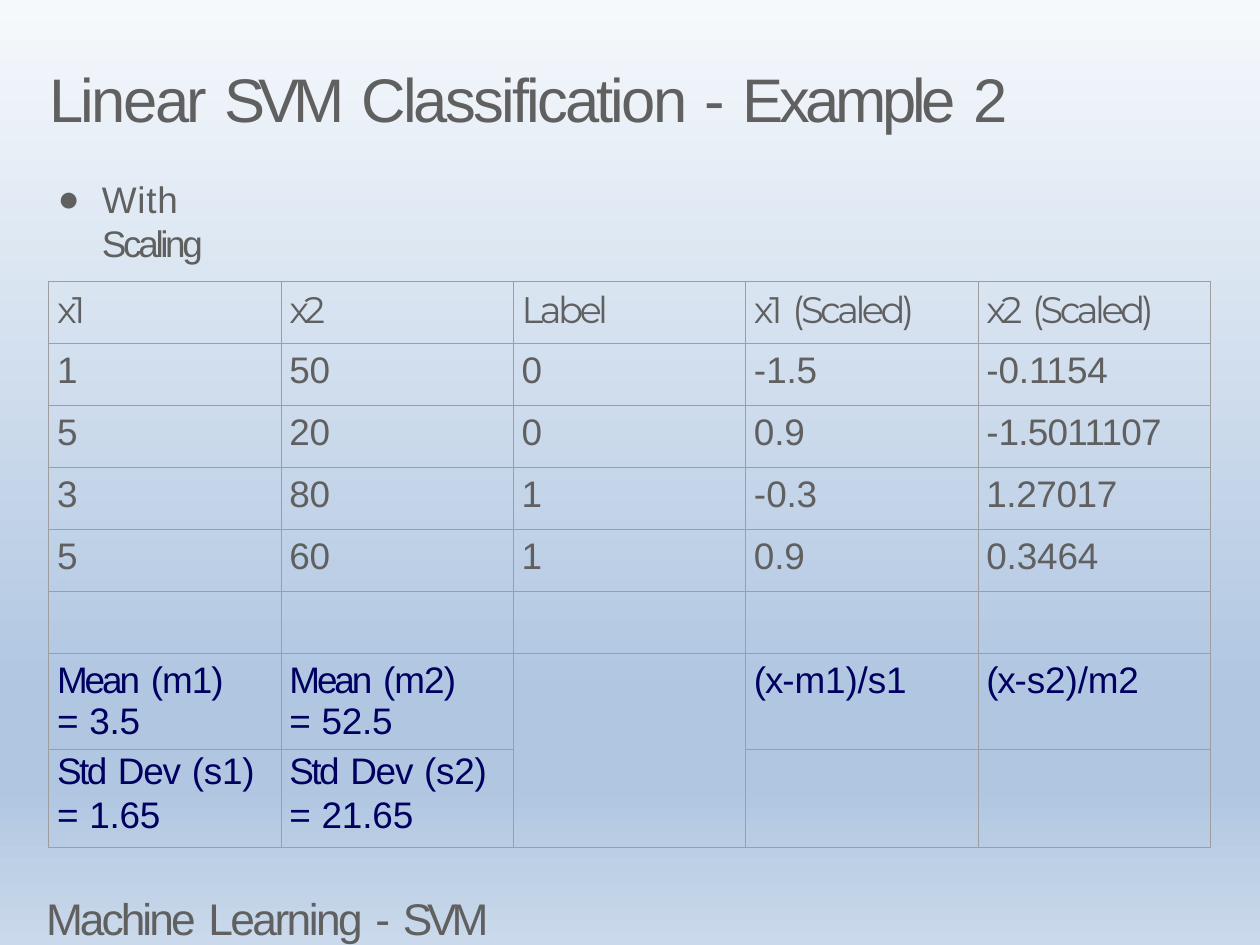
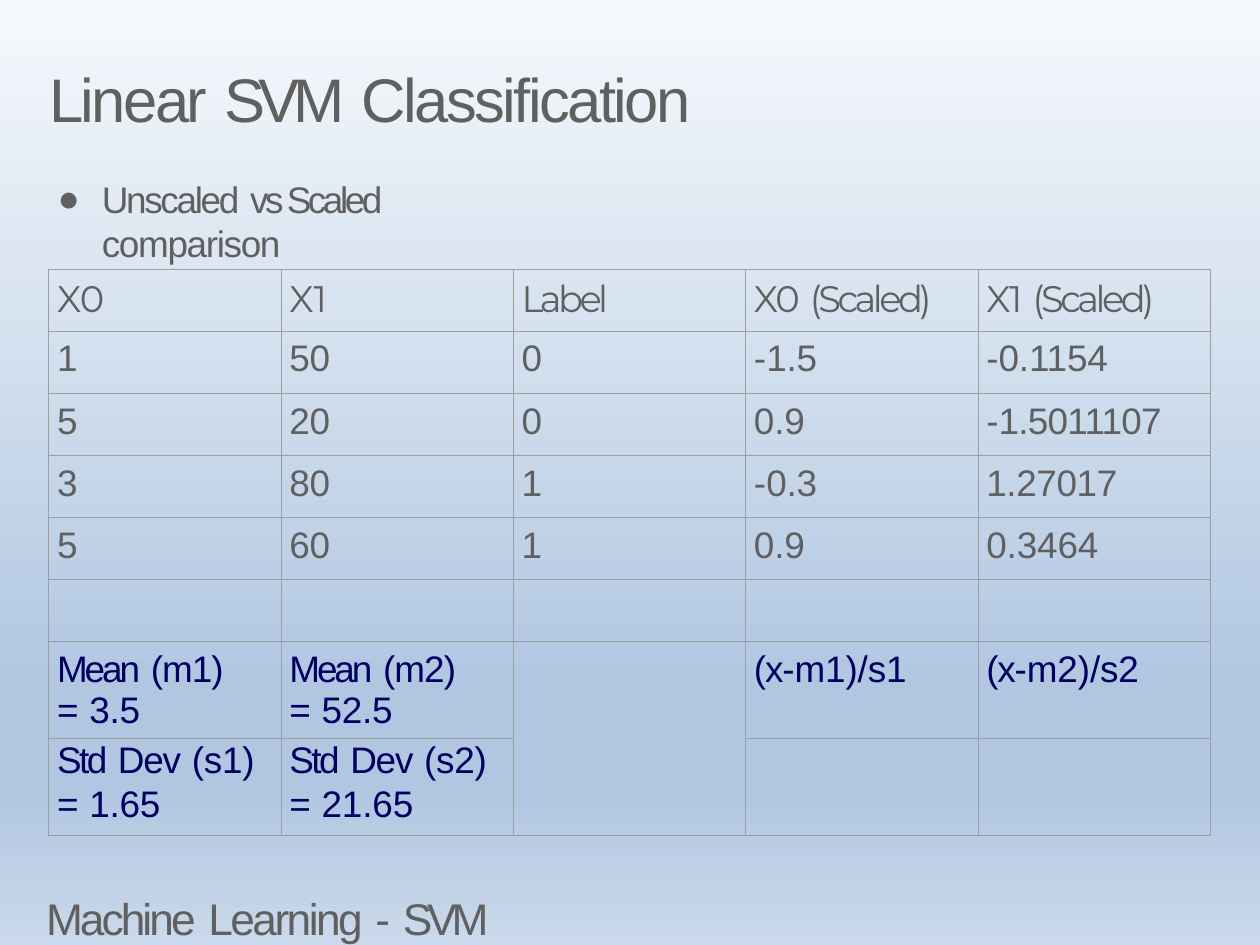
"""Builds two slides on linear SVM classification with scaled data tables."""
from dataclasses import dataclass
from typing import NamedTuple

from lxml.etree import SubElement as Sub
from pptx import Presentation
from pptx.dml.color import RGBColor as Rgb
from pptx.enum.text import MSO_AUTO_SIZE as Fit
from pptx.oxml.ns import qn
from pptx.util import Pt

GREY, NAVY, EDGE = "606060", "000060", "9E9E9E"
STOPS = ((0, "F6F9FC"), (74, "B0C6E1"), (83, "B0C6E1"), (100, "CAD9EB"))
PLAIN = "{2D5ABB26-0587-4C30-8999-92F81FD0307C}"
WIDE = 188.8
ROWS = [50.4] * 6 + [78.5, 36, 43.2]
TRACK = {1: -0.5, 2: -0.2, 3: -0.2, 6: -0.1, 7: -0.3, 9: -0.6}
DATA = (
    ("1", "50", "0", "-1.5", "-0.1154"),
    ("5", "20", "0", "0.9", "-1.5011107"),
    ("3", "80", "1", "-0.3", "1.27017"),
    ("5", "60", "1", "0.9", "0.3464"),
)


class Run(NamedTuple):
    text: str
    gap: float = 0


Runs = list[Run]


class Box(NamedTuple):
    left: float
    top: float
    width: float
    height: float


@dataclass
class Page:
    title: Runs
    point: Runs
    span: float
    top: float
    names: tuple[str, str]
    loose: tuple[float, float]
    rule: str


TITLE = [Run("Linear ", -2.2), Run("SVM ", -5.5)]
FOOT = [Run("Machine ", -2.4), Run("Learning ", -2.1), Run("- "), Run("SVM", -4.2)]
PAGES = (
    Page(TITLE + [Run("Classification ", -2.3), Run("- "), Run("Example ", -3.6), Run("2", -3.3)],
         [Run("With ", 0.6), Run("Scaling", -2.7)],
         190, 228.4, ("x1", "x2"), (-3.9, -3.6), "s2)/m2"),
    Page(TITLE + [Run("Classification", -2.1)],
         [Run("Unscaled ", -1.9), Run("vs Scaled ", -2.8), Run("comparison", -1.1)],
         400, 219, ("X0", "X1"), (-0.2, -1.4), "m2)/s2"),
)


def tint(code: str) -> Rgb:
    """Turn a hex string into a colour."""
    return Rgb.from_string(code)


def split(runs: Runs) -> Runs:
    """Loosen the space that ends a tight run."""
    parts = []
    for text, gap in runs:
        word = text.rstrip()
        parts.append(Run(word, gap))
        if word != text:
            parts.append(Run(" ", min(gap + 3.3, 0.3)))
    return parts


def write(frame, runs: Runs, *, size: float = 30, font: str = "Arial", color: str = GREY,
          before: float = 0, line=None, left: float = 0, hang: float = 0, dot: str = "") -> None:
    """Fill the first paragraph of a text frame with spaced runs."""
    para = frame.paragraphs[0]
    para.space_before = Pt(before)
    if line:
        para.line_spacing = line
    props = para._p.get_or_add_pPr()
    props.set("marL", str(Pt(left)))
    props.set("indent", str(Pt(hang)))
    if dot:
        Sub(props, qn("a:buFont")).set("typeface", font)
        Sub(props, qn("a:buChar")).set("char", dot)
    for part in split(runs):
        run = para.add_run()
        run.text = part.text
        run.font.size, run.font.name = Pt(size), font
        run.font.color.rgb = tint(color)
        run._r.get_or_add_rPr().set("spc", str(round(part.gap * 100)))


def label(slide, box: Box, runs: Runs, inset: float = 0.7, wrap: bool = True, **form) -> None:
    """Add a text box."""
    frame = slide.shapes.add_textbox(*map(Pt, box)).text_frame
    frame.word_wrap = wrap
    frame.auto_size = Fit.SHAPE_TO_FIT_TEXT if wrap else Fit.NONE
    frame.margin_left = frame.margin_right = frame.margin_bottom = 0
    frame.margin_top = Pt(inset)
    write(frame, runs, **form)


def edge(cell, sides: str) -> None:
    """Draw the named sides of a cell and clear its fill."""
    props = cell._tc.get_or_add_tcPr()
    for side in "LRTB":
        line = Sub(props, qn(f"a:ln{side}"), w=str(Pt(0.75)))
        if side in sides:
            Sub(Sub(line, qn("a:solidFill")), qn("a:srgbClr")).set("val", EDGE)
        else:
            Sub(line, qn("a:noFill"))
    cell.fill.background()


def digits(text: str) -> Runs:
    """Split a number into its sign and its tracked digits."""
    body = text.lstrip("-")
    sign = [Run("-", -1.1)] if body != text else []
    return sign + [Run(body, TRACK[len(body)])]


def heads(page: Page) -> list[Runs]:
    """Give the header cells."""
    tight, loose = page.loose
    return ([[Run(name, tight)] for name in page.names] + [[Run("Label", -2.9)]]
            + [[Run(f"{name} ", loose), Run("(Scaled)", -2.9)] for name in page.names])


def stats(page: Page) -> list[list[Runs]]:
    """Give the three rows of means, deviations and scaling rules."""
    means = [[Run("Mean ", -2.5), Run(f"({name}) ", -0.8), Run("= ", -0.5), Run(value, -0.2)]
             for name, value in (("m1", "3.5"), ("m2", "52.5"))]
    rules = [[Run("(x-", -1), Run(rule, -0.1)] for rule in ("m1)/s1", page.rule)]
    devs = [[Run("Std ", -2.1), Run("Dev ", -1), Run(f"({name})", -0.2)] for name in ("s1", "s2")]
    sums = [[Run("= "), Run("1.65", -0.2)], [Run("= "), Run("21.65", -0.1)]]
    return [means + [[]] + rules, devs + [[]] * 3, sums + [[]] * 3]


def grid(slide, page: Page) -> None:
    """Add the data table."""
    cells = [heads(page), *([digits(text) for text in row] for row in DATA), [[]] * 5, *stats(page)]
    box = Box(39.6, page.top, WIDE * 5, sum(ROWS))
    table = slide.shapes.add_table(len(ROWS), 5, *map(Pt, box)).table
    table.first_row = table.horz_banding = False
    table._tbl.tblPr[0].text = PLAIN
    for col in table.columns:
        col.width = Pt(WIDE)
    for y, row in enumerate(cells):
        table.rows[y].height = Pt(ROWS[y])
        low = y > 6
        form = {"line": Pt(34.8)} if low else {"before": 5.5}
        for x, runs in enumerate(row):
            cell = table.cell(y, x)
            cell.margin_left = cell.margin_bottom = 0
            cell.margin_right = Pt(30 if y == 6 else 0)
            cell.margin_top = 0 if low else Pt(5.8)
            edge(cell, {7: "LRT", 8: "LRB"}.get(y, "LRTB"))
            if runs:
                write(cell.text_frame, runs, left=6.8, font="Arial" if y else "Montserrat",
                      color=NAVY if y > 5 else GREY, **form)
    table.cell(6, 2).merge(table.cell(8, 2))


def wash(master) -> None:
    """Give the master its gradient background."""
    fill = master.background.fill
    fill.gradient()
    fill.gradient_angle = 270
    stops = next(master.element.iter(qn("a:gsLst")))
    stops.clear()
    for place, code in STOPS:
        stop = Sub(stops, qn("a:gs"), pos=str(place * 1000))
        Sub(stop, qn("a:srgbClr")).set("val", code)


def main() -> None:
    """Build and save the slides."""
    deck = Presentation()
    deck.slide_width, deck.slide_height = Pt(1024), Pt(768)
    wash(deck.slide_master)
    for page in PAGES:
        slide = deck.slides.add_slide(deck.slide_layouts[6])
        label(slide, Box(39, 49, 901.5, 62), page.title, size=50, before=1, left=1.2)
        label(slide, Box(36.7, 721.5, 353.5, 46), FOOT, 2.9, wrap=False,
              size=36, before=2.6, left=0.7)
        label(slide, Box(45.4, 142.6, page.span, 38), page.point, before=1,
              left=37.4, hang=-36, dot="●")
        grid(slide, page)
    deck.save("out.pptx")


if __name__ == "__main__":
    main()
